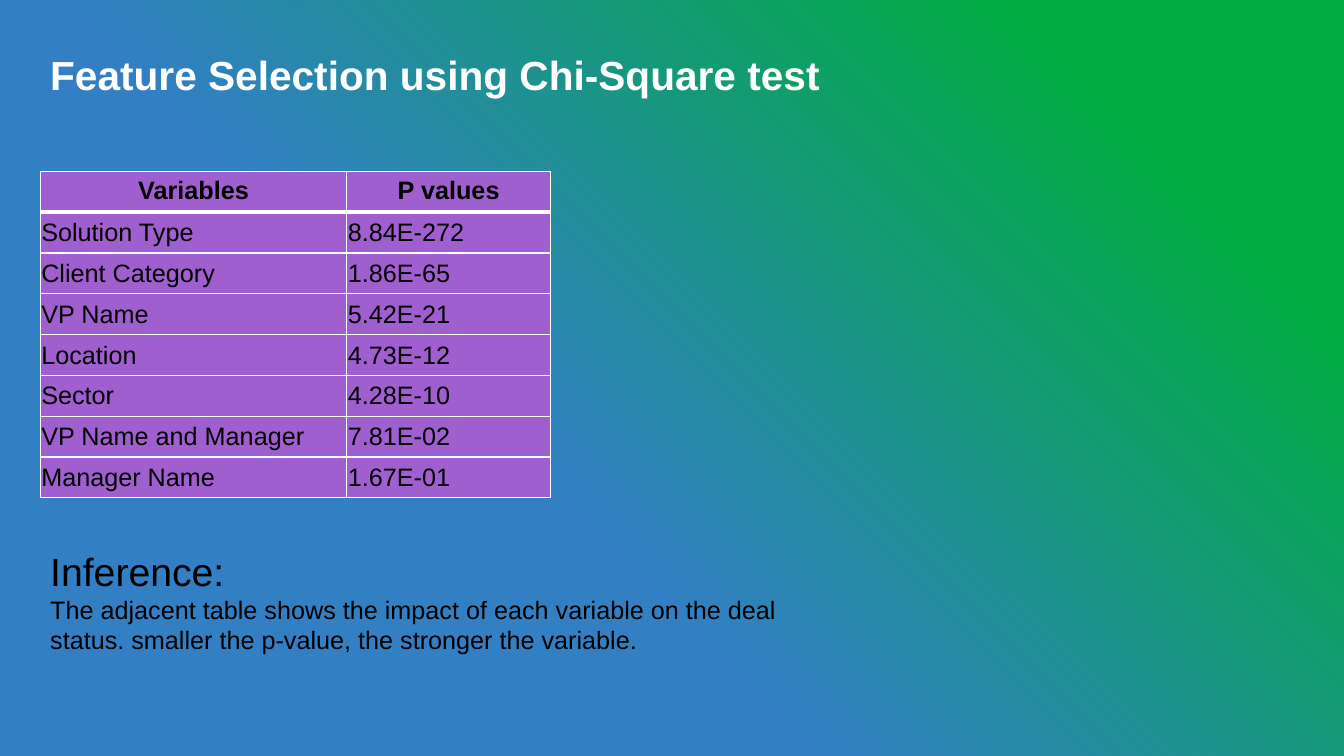
import pptx
import pptx.util
import pptx.dml.color
import pptx.enum.text
import pptx.oxml
import pptx.oxml.ns

# Content
TITLE = "Feature Selection using Chi-Square test"
ROWS = [
    ("Variables", "P values"),
    ("Solution Type", "8.84E-272"),
    ("Client Category", "1.86E-65"),
    ("VP Name", "5.42E-21"),
    ("Location", "4.73E-12"),
    ("Sector", "4.28E-10"),
    ("VP Name and Manager", "7.81E-02"),
    ("Manager Name", "1.67E-01"),
]
HEAD = "Inference:"
NOTE = ("The adjacent table shows the impact of each variable on the deal "
        "status. smaller the p-value, the stronger the variable.\u00a0")

# Theme and grid
THEME = {
    "font": "Arial", "title": 29, "head": 28, "body": 18,
    "white": "FFFFFF", "black": "000000", "cell": "9F5FCF",
    "stops": [(0.39, "327FC4"), (0.84, "00AC41")], "angle": 45,
}
WIDE, HIGH = 13.33, 7.5
LEFT = 0.03 * WIDE
COLS = (3.04, 2.02)
STEP = 0.405

inch = pptx.util.Inches
anchor = pptx.enum.text.MSO_ANCHOR
align = pptx.enum.text.PP_ALIGN


def color(name):
    return pptx.dml.color.RGBColor.from_string(THEME.get(name, name))


def style(para, size, tone="black", bold=False):
    for run in para.runs:
        font = run.font
        font.name, font.size, font.bold = THEME["font"], pptx.util.Pt(THEME[size]), bold
        font.color.rgb = color(tone)


def add_text(slide, top, width, height, lines):
    box = slide.shapes.add_textbox(inch(LEFT), inch(top), inch(width), inch(height))
    frame = box.text_frame
    frame.word_wrap = True
    frame.text = "\n".join(line[0] for line in lines)
    for para, (_, *look) in zip(frame.paragraphs, lines):
        style(para, *look)
    return frame


def border(cell, low):
    # Borders must come before the fill in the cell properties
    props = cell._tc.get_or_add_tcPr()
    for side, size in (("L", 1), ("R", 1), ("T", 1), ("B", low)):
        props.append(pptx.oxml.parse_xml(
            f'<a:ln{side} {pptx.oxml.ns.nsdecls("a")} w="{pptx.util.Pt(size)}">'
            f'<a:solidFill><a:srgbClr val="{THEME["white"]}"/></a:solidFill></a:ln{side}>'))


def add_grid(slide):
    grid = slide.shapes.add_table(
        len(ROWS), len(COLS), inch(LEFT), inch(1.7),
        inch(sum(COLS)), inch(STEP * len(ROWS))).table
    for col, width in zip(grid.columns, COLS):
        col.width = inch(width)
    for r, row in enumerate(ROWS):
        top = r == 0
        for c, word in enumerate(row):
            cell = grid.cell(r, c)
            cell.text = word
            para = cell.text_frame.paragraphs[0]
            style(para, "body", bold=top)
            if top:
                para.alignment = align.CENTER
            else:
                cell.vertical_anchor = anchor.MIDDLE
                cell.margin_left = cell.margin_right = cell.margin_top = inch(0.01)
                cell.margin_bottom = 0
            border(cell, 3 if top else 1)
            cell.fill.solid()
            cell.fill.fore_color.rgb = color("cell")


def main():
    deck = pptx.Presentation()
    deck.slide_width, deck.slide_height = inch(WIDE), inch(HIGH)
    slide = deck.slides.add_slide(deck.slide_layouts[6])

    # Background
    fill = slide.background.fill
    fill.gradient()
    fill.gradient_angle = THEME["angle"]
    for stop, (place, tone) in zip(fill.gradient_stops, THEME["stops"]):
        stop.position = place
        stop.color.rgb = color(tone)

    # Title, table and inference
    frame = add_text(slide, 0.48, 11.5, 0.58, [(TITLE, "title", "white", True)])
    frame.vertical_anchor = anchor.MIDDLE
    frame.paragraphs[0].line_spacing = 0.9
    add_grid(slide)
    frame = add_text(slide, 5.38, 8.13, 1.18, [(HEAD, "head"), (NOTE, "body")])
    frame.auto_size = pptx.enum.text.MSO_AUTO_SIZE.SHAPE_TO_FIT_TEXT
    deck.save("out.pptx")


if __name__ == "__main__":
    main()
